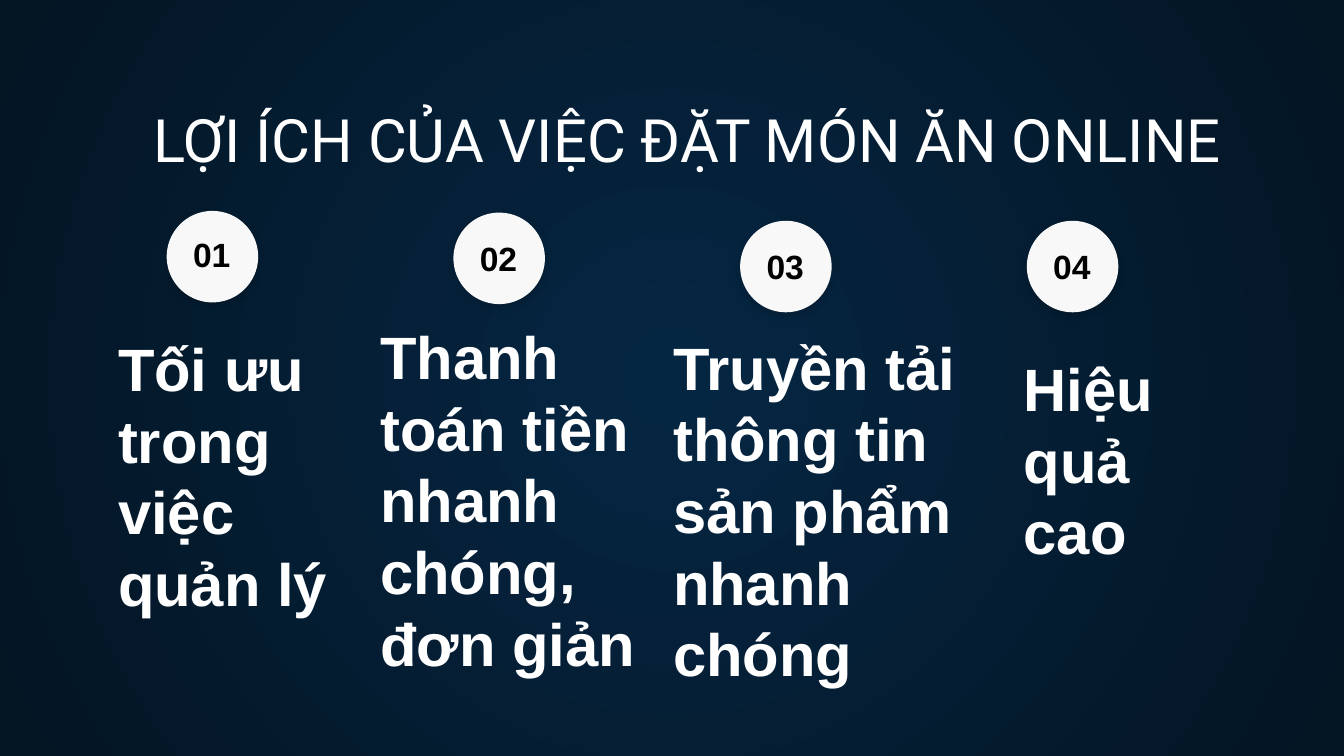
from lxml.etree import SubElement
from pptx import Presentation
from pptx.dml.color import RGBColor
from pptx.enum.shapes import MSO_SHAPE as SHAPE
from pptx.enum.text import MSO_ANCHOR as ANCHOR, MSO_AUTO_SIZE as AUTO, PP_ALIGN as ALIGN
from pptx.oxml import parse_xml
from pptx.oxml.ns import nsdecls, qn
from pptx.util import Pt

TITLE = "LỢI ÍCH CỦA VIỆC ĐẶT MÓN ĂN ONLINE"
CIRCLE = 49
CIRCLE_LEFT, CIRCLE_STEP = 89.3, 153.6
BENEFITS = [
    (113, 118, (56.2, 174.2, 132.5, 162.7), "Tối ưu trong việc quản lý"),
    (113.9, 120.2, (196.6, 167.8, 157.7, 239.8), "Thanh toán tiền nhanh chóng, đơn giản"),
    (118.3, 124.6, (353.5, 173.5, 171.4, 218.2), "Truyền tải thông tin sản phẩm nhanh chóng"),
    (118.3, 124.6, (541.4, 185, 97.9, 162.7), "Hiệu quả cao"),
]


def color(value):
    """Turn a hex string into a colour."""
    return RGBColor.from_string(value)


def set_background(s):
    """Fill the slide with a gradient radiating from its centre."""
    fill = s.background.fill
    fill.gradient()
    for stop, position, value in zip(fill.gradient_stops, (0, 1), ("052643", "041523")):
        stop.position = position
        stop.color.rgb = color(value)
    grad = s.background._cSld.find(".//" + qn("a:gradFill"))
    lin = grad.find(qn("a:lin"))
    grad.replace(lin, parse_xml(
        f'<a:path {nsdecls("a")} path="circle">'
        '<a:fillToRect l="50000" t="50000" r="50000" b="50000"/></a:path>'))


def write(sp, text, size, value, font="Arial", bold=True, align=ALIGN.LEFT, inset=None):
    """Write one styled run into a shape and return its text frame."""
    tf = sp.text_frame
    tf.word_wrap = True
    if inset is not None:
        tf.margin_left = tf.margin_top = tf.margin_right = tf.margin_bottom = Pt(inset)
    p = tf.paragraphs[0]
    p.alignment = align
    r = p.add_run()
    r.text = text
    r.font.name, r.font.size, r.font.bold = font, Pt(size), bold
    r.font.color.rgb = color(value)
    return tf


def add_title(s):
    """Place and format the title."""
    sp = s.shapes.title
    sp.left, sp.top, sp.width, sp.height = map(Pt, (74.9, 53.3, 597.6, 47.5))
    tf = write(sp, TITLE, 32, "FFFFFF", "Roboto", False, inset=7.2)
    tf.auto_size = AUTO.NONE
    tf.vertical_anchor = ANCHOR.BOTTOM
    tf.paragraphs[0].line_spacing = 1


def add_circle(s, left, top):
    """Draw a pale circle with a soft shadow."""
    sp = s.shapes.add_shape(SHAPE.OVAL, Pt(left), Pt(top), Pt(CIRCLE), Pt(CIRCLE))
    sp.shadow.inherit = False
    sp.fill.solid()
    sp.fill.fore_color.rgb = color("F8F8F8")
    sp.line.fill.background()
    effects = sp._element.spPr.find(qn("a:effectLst"))
    shadow = SubElement(effects, qn("a:outerShdw"), blurRad=str(Pt(4.5)),
                        dist=str(Pt(1.5)), dir="5220000", algn="bl", rotWithShape="0")
    black = SubElement(shadow, qn("a:srgbClr"), val="000000")
    SubElement(black, qn("a:alpha"), val="19000")


def add_number(s, left, top, text):
    """Add a centred number over a circle."""
    sp = s.shapes.add_textbox(Pt(left), Pt(top), Pt(56.2), Pt(46.8))
    write(sp, text, 18, "000000", align=ALIGN.CENTER, inset=7.2)


def add_benefit(s, box, text):
    """Add a benefit in large bold type."""
    sp = s.shapes.add_textbox(*map(Pt, box))
    write(sp, text, 32, "FFFFFF").auto_size = AUTO.SHAPE_TO_FIT_TEXT


def main():
    """Build the slide and save it."""
    prs = Presentation()
    prs.slide_width, prs.slide_height = Pt(720), Pt(405)
    s = prs.slides.add_slide(prs.slide_layouts[0])
    subtitle = s.placeholders[1]._element
    subtitle.getparent().remove(subtitle)
    set_background(s)
    add_title(s)
    for i, (circle_top, number_top, box, text) in enumerate(BENEFITS):
        left = CIRCLE_LEFT + i * CIRCLE_STEP
        add_circle(s, left, circle_top)
        add_number(s, left - 4, number_top, f"{i + 1:02}")
        add_benefit(s, box, text)
    prs.save("out.pptx")


if __name__ == "__main__":
    main()
